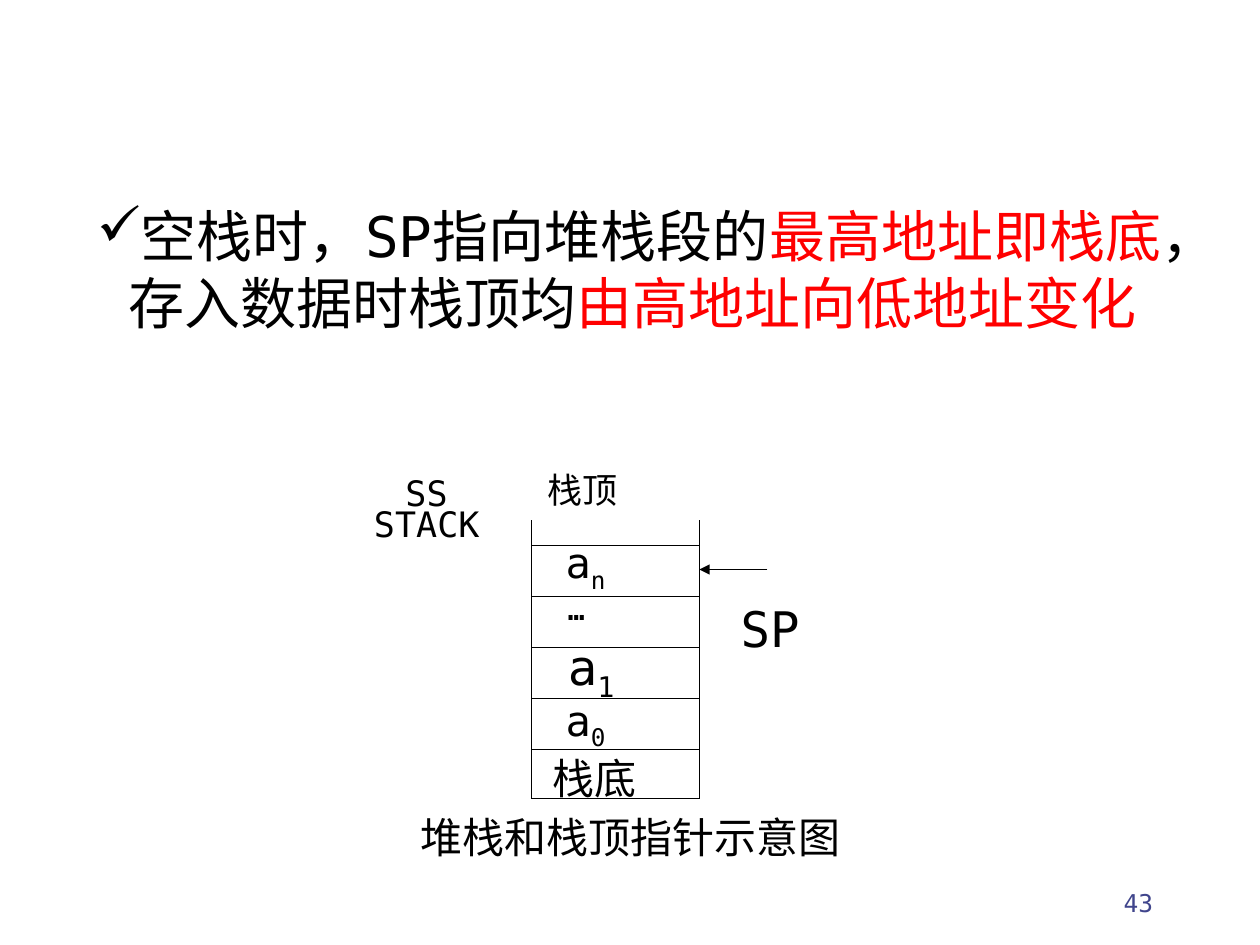
from lxml import etree
from pptx import Presentation
from pptx import util as u
from pptx.dml.color import RGBColor
from pptx.enum import shapes, text
from pptx.oxml.ns import qn

COLORS = {"ink": "000000", "accent": "FF0000", "number": "40458C"}
FONT = "DejaVu Sans Mono"

prs = Presentation()
prs.slide_width, prs.slide_height = u.Inches(10), u.Inches(7.5)
s = prs.slides.add_slide(prs.slide_layouts[6])


def add_text(box, runs, size, align=text.PP_ALIGN.JUSTIFY, anchor=text.MSO_ANCHOR.TOP, bullet=None):
    sp = s.shapes.add_textbox(*(u.Inches(v) for v in box))
    tf = sp.text_frame
    tf.word_wrap = True
    tf.vertical_anchor = anchor
    p = tf.paragraphs[0]
    p.alignment = align
    if bullet:
        pPr = p._p.get_or_add_pPr()
        pPr.set("marL", str(u.Inches(0.25)))
        pPr.set("indent", str(-u.Inches(0.25)))
        clr = etree.SubElement(pPr, qn("a:buClr"))
        etree.SubElement(clr, qn("a:srgbClr")).set("val", COLORS["ink"])
        etree.SubElement(pPr, qn("a:buChar")).set("char", bullet)
    for content, color, extra in runs:
        r = p.add_run()
        r.text = content
        for name, value in {"name": FONT, "size": u.Pt(size), "bold": extra == "bold"}.items():
            setattr(r.font, name, value)
        r.font.color.rgb = RGBColor.from_string(COLORS[color])
        if extra == "sub":
            r.font._element.set("baseline", "-25000")


def add_line(x1, y1, x2, y2):
    c = s.shapes.add_connector(shapes.MSO_CONNECTOR.STRAIGHT, *(u.Inches(v) for v in (x1, y1, x2, y2)))
    c.line.color.rgb = RGBColor.from_string(COLORS["ink"])
    c.line.width = u.Pt(0.75)
    etree.SubElement(c._element.spPr, qn("a:effectLst"))
    return c


add_text((7.17, 6.83, 2.08, 0.5), [("43", "number", None)], 14,
         text.PP_ALIGN.RIGHT, text.MSO_ANCHOR.BOTTOM)
add_text((0.67, 1.55, 9, 1.17), [
    ("空栈时，SP指向堆栈段的", "ink", None),
    ("最高地址即栈底", "accent", None),
    ("，存入数据时栈顶均", "ink", None),
    ("由高地址向低地址变化", "accent", None),
], 32, text.PP_ALIGN.LEFT, bullet="✓")

left, right, top, bottom = 4.22, 5.55, 4.13, 6.34
for x in (left, right):
    add_line(x, top, x, bottom)
for y in [4.33 + 0.405 * i for i in range(5)] + [bottom]:
    add_line(left, y, right, y)

labels = [
    ("栈顶", 4.25, 3.67, 1.16, 20),
    ("SS", 3.12, 3.69, 1.16, 20),
    ("STACK", 2.87, 3.94, 1.34, 20),
    ("栈底", 4.29, 5.92, 1.16, 24),
    ("堆栈和栈顶指针示意图", 3.24, 6.39, 3.65, 24),
    ("SP", 5.78, 4.7, 1.07, 28),
]
for label, x, y, width, size in labels:
    add_text((x, y, width, 0.67), [(label, "ink", None)], size)

for index, x, y, size in [("n", 4.39, 4.21, 24), ("1", 4.41, 5, 28), ("0", 4.39, 5.46, 24)]:
    add_text((x, y, 1.16, 0.72), [("a", "ink", None), (index, "ink", "sub")], size)
add_text((4.41, 4.65, 1.16, 0.72), [("…", "ink", "bold")], 16)

pointer = add_line(6.09, 4.52, right, 4.52)
etree.SubElement(pointer.line._get_or_add_ln(), qn("a:tailEnd")).set("type", "triangle")

prs.save("out.pptx")
